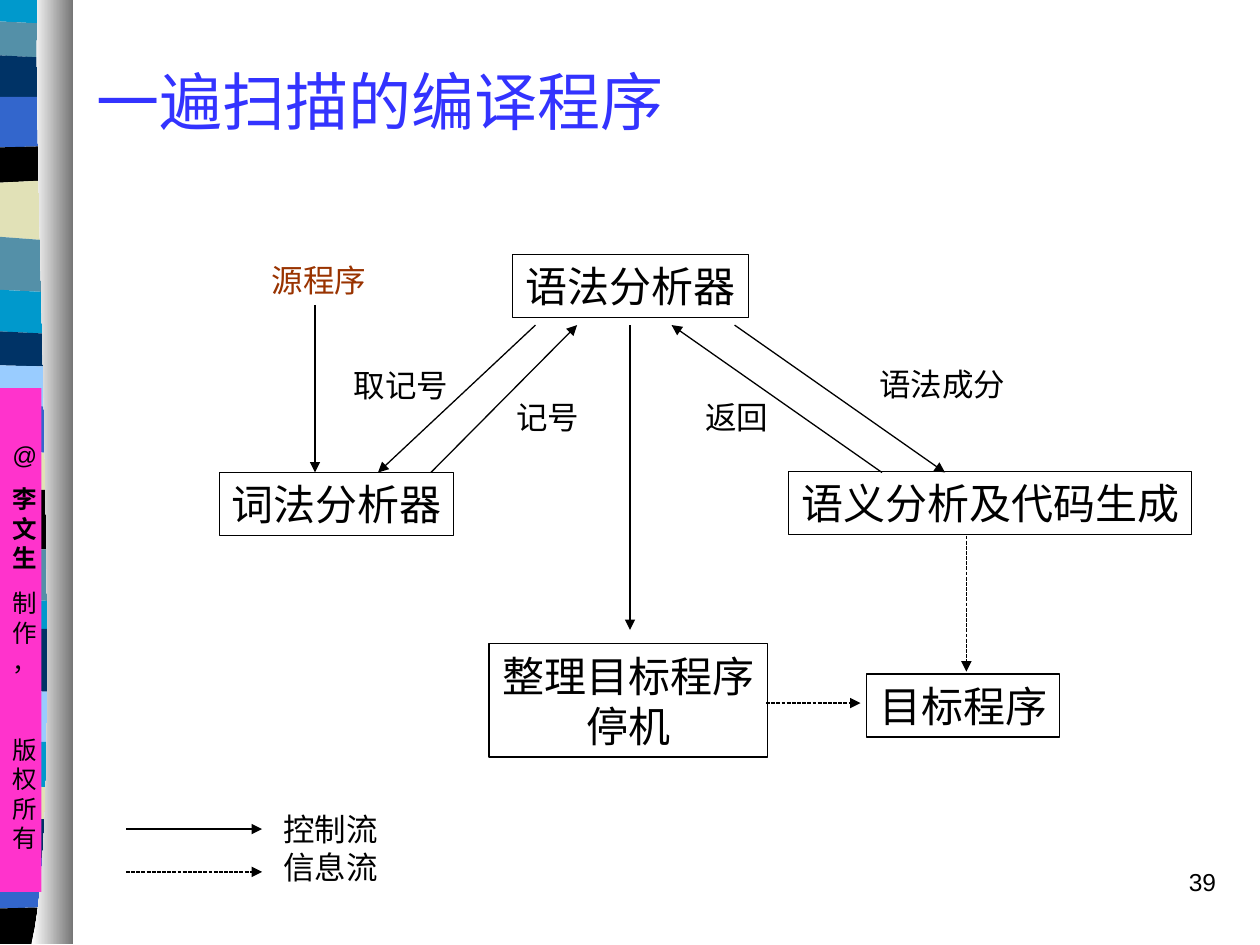
from dataclasses import dataclass

from lxml import etree
from pptx import Presentation
from pptx.dml.color import RGBColor
from pptx.enum import dml, shapes, text
from pptx.oxml import ns
from pptx.util import Inches, Pt


@dataclass(frozen=True)
class Theme:
    black: str = "000000"
    white: str = "FFFFFF"
    title: str = "3333FF"
    source: str = "993300"
    strip: str = "FF33CC"
    shade: str = "767676"
    cyan: str = "0099CC"
    teal: str = "5490A8"
    navy: str = "003366"
    blue: str = "3366CC"
    sand: str = "E1E1B7"
    sky: str = "99CCFF"
    title_font: str = "Noto Sans CJK SC"
    body_font: str = "Times New Roman"
    side_font: str = "Arial"
    title_size: int = 36
    box_size: int = 24
    label_size: int = 18
    small_size: int = 14


T = Theme()
prs = Presentation()
prs.slide_width, prs.slide_height = Inches(10), Inches(7.5)
s = prs.slides.add_slide(prs.slide_layouts[6])


def outline(points):
    points = [(Inches(x), Inches(y)) for x, y in points]
    fb = s.shapes.build_freeform(*points[0])
    fb.add_line_segments(points[1:], close=True)
    sp = fb.convert_to_shape()
    sp.shadow.inherit = False
    sp.line.fill.background()
    return sp


def write(sp, lines, size, color=T.black, font=T.body_font,
          align=text.PP_ALIGN.LEFT, wrap=False):
    tf = sp.text_frame
    tf.word_wrap = wrap
    tf.vertical_anchor = text.MSO_ANCHOR.TOP
    tf.text = lines
    for p in tf.paragraphs:
        p.alignment = align
        p.font.size = Pt(size)
        p.font.name = font
        p.font.color.rgb = RGBColor.from_string(color)
    return tf


bands = [
    (0, 0, T.cyan), (0.17, 0.19, T.teal), (0.44, 0.46, T.navy),
    (0.77, 0.77, T.blue), (1.17, 1.16, T.black), (1.45, 1.43, T.sand),
    (1.88, 1.91, T.teal), (2.3, 2.32, T.cyan), (2.63, 2.65, T.navy),
    (2.9, 2.91, T.sky), (3.2, 3.23, T.blue), (3.55, 3.6, T.sand),
    (3.88, 3.89, T.black), (4.36, 4.36, T.teal), (4.75, 4.77, T.cyan),
    (5, 4.99, T.navy), (5.48, 5.49, T.sky), (5.88, 5.89, T.cyan),
    (6.23, 6.25, T.sand), (6.5, 6.5, T.navy), (6.81, 6.81, T.blue),
    (7.21, 7.2, T.black),
]
edges = bands[1:] + [(7.49, 7.49, None)]
for (left, right, color), (next_left, next_right, _) in zip(bands, edges):
    sp = outline([(0, left), (0.4, right), (0.56, right),
                  (0.56, next_right), (0.4, next_right), (0, next_left)])
    sp.fill.solid()
    sp.fill.fore_color.rgb = RGBColor.from_string(color)

curve = []
for i in range(31):
    t = i / 30
    weights = ((1 - t) ** 3, 3 * t * (1 - t) ** 2, 3 * t * t * (1 - t), t ** 3)
    curve.append((sum(w * x for w, x in zip(weights, (0.3, 0.25, 0.53, 0.25))),
                  sum(w * y for w, y in zip(weights, (0, 1.25, 6.46, 7.49)))))
sp = outline(curve + [(0.58, 7.49), (0.58, 0)])
sp.fill.gradient()
sp.fill.gradient_angle = 0
for stop, color in zip(sp.fill.gradient_stops, (T.white, T.shade)):
    stop.color.rgb = RGBColor.from_string(color)

sp = s.shapes.add_shape(shapes.MSO_SHAPE.RECTANGLE, Inches(0), Inches(3.08),
                        Inches(0.33), Inches(4))
sp.shadow.inherit = False
sp.fill.solid()
sp.fill.fore_color.rgb = RGBColor.from_string(T.strip)
sp.line.fill.background()
tf = write(sp, "@\n李文生\n制作，\n版权所有", T.small_size, font=T.side_font,
           align=text.PP_ALIGN.CENTER, wrap=True)
tf.margin_top = Inches(0.41)
for p, gap in zip(tf.paragraphs, (0, 8.8, 8.8, 33.5)):
    p.space_before = Pt(gap)
tf.paragraphs[1].font.bold = True

sp = s.shapes.add_textbox(Inches(0.67), Inches(0.17), Inches(9.12), Inches(1.25))
tf = write(sp, "一遍扫描的编译程序", T.title_size, T.title, T.title_font, wrap=True)
tf.vertical_anchor = text.MSO_ANCHOR.MIDDLE

boxes = [
    ("语法分析器", 4.07, 2.02, 1.87, 0.5),
    ("词法分析器", 1.74, 3.75, 1.86, 0.5),
    ("语义分析及代码生成", 6.26, 3.74, 3.2, 0.5),
    ("整理目标程序\n停机", 3.88, 5.11, 2.21, 0.9),
    ("目标程序", 6.88, 5.35, 1.53, 0.5),
]
for name, *place in boxes:
    sp = s.shapes.add_shape(shapes.MSO_SHAPE.RECTANGLE, *map(Inches, place))
    sp.shadow.inherit = False
    sp.fill.background()
    sp.line.color.rgb = RGBColor.from_string(T.black)
    sp.line.width = Pt(0.75)
    write(sp, name, T.box_size, align=text.PP_ALIGN.CENTER)

labels = [
    ("源程序", 2.06, 2.02, 0.95, 0.4, T.source),
    ("取记号", 2.71, 2.86, 0.95, 0.4, T.black),
    ("记号", 4, 3.11, 0.7, 0.4, T.black),
    ("返回", 5.5, 3.11, 0.7, 0.4, T.black),
    ("语法成分", 6.88, 2.85, 1.2, 0.4, T.black),
    ("控制流\n信息流", 2.15, 6.38, 0.95, 0.7, T.black),
]
for name, *place, color in labels:
    sp = s.shapes.add_textbox(*map(Inches, place))
    write(sp, name, T.label_size, color)

control_flow = [
    (2.5, 2.42, 2.5, 3.75), (4.25, 2.58, 3, 3.75), (3.42, 3.75, 4.58, 2.58),
    (5, 2.58, 5, 5), (7, 3.75, 5.33, 2.58), (5.83, 2.58, 7.5, 3.75),
    (1, 6.58, 2.08, 6.58),
]
data_flow = [
    (7.67, 4.25, 7.67, 5.33), (6.08, 5.58, 6.83, 5.58), (1, 6.92, 2.08, 6.92),
]
for arrows, dash in ((control_flow, dml.MSO_LINE.SOLID),
                     (data_flow, dml.MSO_LINE.SQUARE_DOT)):
    for ends in arrows:
        c = s.shapes.add_connector(shapes.MSO_CONNECTOR.STRAIGHT, *map(Inches, ends))
        c.line.color.rgb = RGBColor.from_string(T.black)
        c.line.width = Pt(0.75)
        c.line.dash_style = dash
        etree.SubElement(c.line._get_or_add_ln(), ns.qn("a:tailEnd"), type="triangle")
        etree.SubElement(c._element.spPr, ns.qn("a:effectLst"))

sp = s.shapes.add_textbox(Inches(7.67), Inches(6.83), Inches(2.08), Inches(0.5))
tf = write(sp, "39", T.small_size, font=T.side_font,
           align=text.PP_ALIGN.RIGHT, wrap=True)
tf.paragraphs[0].space_before = Pt(8.8)

prs.save("out.pptx")
